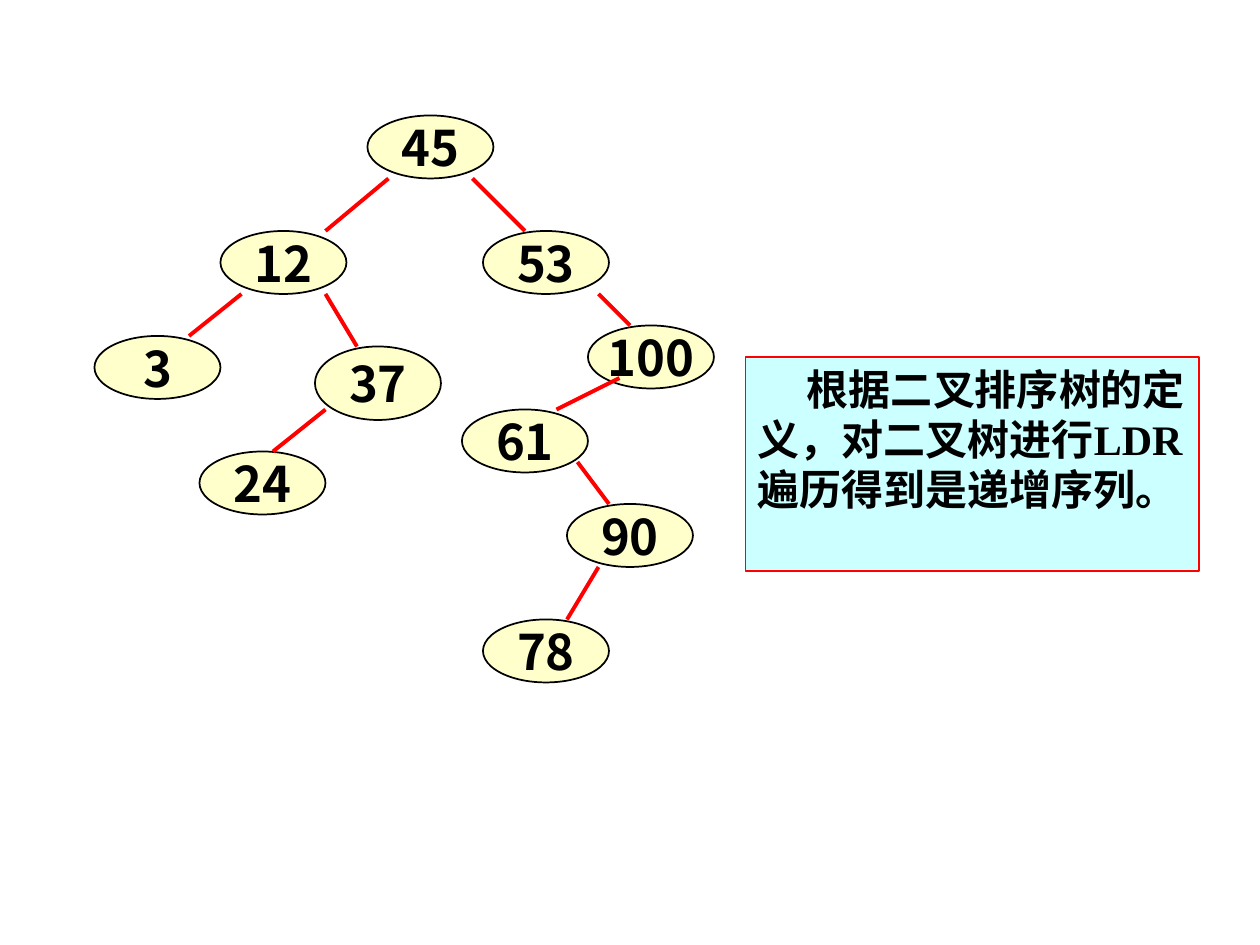
from lxml import etree
from pptx import Presentation
from pptx.dml.color import RGBColor
from pptx.enum.shapes import MSO_CONNECTOR, MSO_SHAPE
from pptx.enum.text import MSO_ANCHOR, PP_ALIGN
from pptx.oxml.ns import qn
from pptx.util import Inches, Pt

OVAL, RECT = MSO_SHAPE.OVAL, MSO_SHAPE.RECTANGLE
STRAIGHT = MSO_CONNECTOR.STRAIGHT
MIDDLE, TOP = MSO_ANCHOR.MIDDLE, MSO_ANCHOR.TOP
CENTER, LEFT = PP_ALIGN.CENTER, PP_ALIGN.LEFT

SANS, SERIF = "Noto Sans CJK SC", "Times New Roman"
BLACK, RED, CREAM, CYAN = "000000", "FF0000", "FFFFCC", "CCFFFF"

UNIT = Inches(1) // 12  # one column or row of the grid
NODE_WIDTH, NODE_HEIGHT = 12, 6

# key: column, row, height, counted from the corner of the tree
NODES = {
    "45": (26, 0, NODE_HEIGHT),
    "37": (21, 22, 7),
    "24": (10, 32, NODE_HEIGHT),
    "53": (37, 11, NODE_HEIGHT),
    "100": (47, 20, NODE_HEIGHT),
    "61": (35, 28, NODE_HEIGHT),
    "90": (45, 37, NODE_HEIGHT),
    "78": (37, 48, NODE_HEIGHT),
    "3": (0, 21, NODE_HEIGHT),
    "12": (12, 11, NODE_HEIGHT),
}
# parent, child, columns into the parent, rows above its bottom, columns into the child
EDGES = [
    ("45", "53", 10, 0, 4),
    ("53", "100", 11, 0, 4),
    ("100", "61", 3, 1, 9),
    ("61", "90", 11, 1, 4),
    ("90", "78", 3, 0, 8),
    ("12", "37", 10, 0, 4),
    ("12", "3", 2, 0, 9),
    ("37", "24", 1, 1, 7),
    ("45", "12", 2, 0, 10),
]


def color(value):
    return RGBColor.from_string(value)


def grid(*counts):
    return [round(count * UNIT) for count in counts]


def add_panel(page, kind, box, fill, line, weight):
    panel = page.shapes.add_shape(kind, *grid(*box))
    panel.shadow.inherit = False
    panel.fill.solid()
    panel.fill.fore_color.rgb = color(fill)
    panel.line.color.rgb = color(line)
    panel.line.width = Pt(weight)
    return panel


def write(panel, text, font, size, align, anchor, wrap):
    frame = panel.text_frame
    frame.word_wrap = wrap
    frame.vertical_anchor = anchor
    para = frame.paragraphs[0]
    para.alignment = align
    span = para.add_run()
    span.text = text
    span.font.name = font
    span.font.size = Pt(size)
    span.font.bold = True
    span.font.color.rgb = color(BLACK)
    east_asian = etree.SubElement(span.font._element, qn("a:ea"))
    east_asian.set("typeface", SANS)
    return para


def add_edge(page, start, end):
    edge = page.shapes.add_connector(STRAIGHT, *grid(*start, *end))
    edge.line.color.rgb = color(RED)
    edge.line.width = Pt(2.25)
    etree.SubElement(edge._element.spPr, qn("a:effectLst"))


def add_tree(page, left, top):
    for key, (column, row, height) in NODES.items():
        box = (left + column, top + row, NODE_WIDTH, height)
        node = add_panel(page, OVAL, box, CREAM, BLACK, 1)
        write(node, key, SANS, 28, CENTER, MIDDLE, False)
    for parent, child, out, rise, into in EDGES:
        column, row, height = NODES[parent]
        start = (left + column + out, top + row + height - rise)
        column, row, _ = NODES[child]
        add_edge(page, start, (left + column + into, top + row))


def add_note(page, box):
    note = add_panel(page, RECT, box, CYAN, RED, 0.75)
    text = "根据二叉排序树的定义，对二叉树进行LDR遍历得到是递增序列。"
    para = write(note, text, SERIF, 24, LEFT, TOP, True)
    para._p.get_or_add_pPr().set("indent", str(Inches(0.39)))


def main():
    deck = Presentation()
    deck.slide_width, deck.slide_height = Inches(10), Inches(7.5)
    page = deck.slides.add_slide(deck.slide_layouts[6])
    add_tree(page, 9, 11)
    add_note(page, (71, 34, 43.2, 20.4))
    deck.save("out.pptx")


if __name__ == "__main__":
    main()
